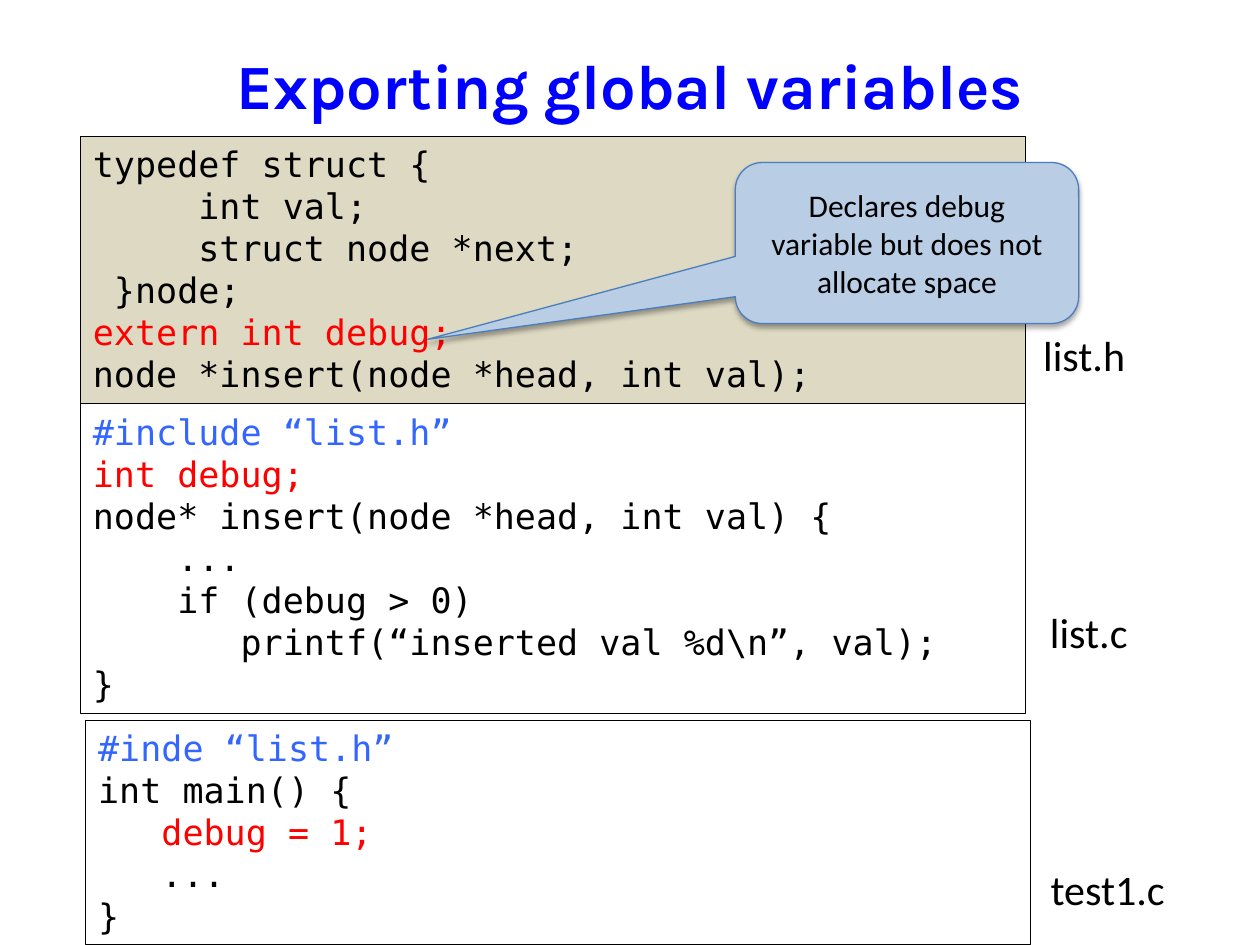
import pptx
import pptx.util
import pptx.dml.color
import pptx.enum.shapes
import pptx.enum.text
import pptx.oxml

Pt = pptx.util.Pt
SHAPE = pptx.enum.shapes.MSO_SHAPE
ALIGN = pptx.enum.text.PP_ALIGN
ANCHOR = pptx.enum.text.MSO_ANCHOR
FIT = pptx.enum.text.MSO_AUTO_SIZE

COLORS = {
    "title": "0000FF", "text": "000000", "new": "FF0000", "include": "3366FF",
    "header": "DDD9C3", "note": "B9CDE5", "edge": "4B7EBC",
}
CODE, BODY, HEAD = "DejaVu Sans Mono", "Calibri", "Karla"

TITLE = "Exporting global variables"
NOTE = "Declares debug variable but does not allocate space"

# Each file: box (left, top, width, height), fill, lines of (text, colour)
FILES = [
    ((46, 77.9, 540, 152.6), "header", [
        ("typedef struct {", "text"),
        ("     int val;", "text"),
        ("     struct node *next;", "text"),
        (" }node;", "text"),
        ("extern int debug;", "new"),
        ("node *insert(node *head, int val);", "text"),
    ]),
    ((46, 230.8, 540, 177), None, [
        ("#include “list.h”", "include"),
        ("int debug;", "new"),
        ("node* insert(node *head, int val) {", "text"),
        ("    ...", "text"),
        ("    if (debug > 0)", "text"),
        ("       printf(“inserted val %d\\n”, val);", "text"),
        ("}", "text"),
    ]),
    ((49, 411.8, 540, 128), None, [
        ("#inde “list.h”", "include"),
        ("int main() {", "text"),
        ("   debug = 1;", "new"),
        ("   ...", "text"),
        ("}", "text"),
    ]),
]
LABELS = [
    ("list.h", (589, 185, 62, 36)),
    ("list.c", (592.9, 342.9, 60, 36)),
    ("test1.c", (593.3, 489.8, 81, 36)),
]
NOTE_BOX = (420.2, 92.9, 196.2, 92)
NOTE_TIP = (-1.396, 0.598, 0.167)

SHADOW = (
    '<a:effectLst xmlns:a="http://schemas.openxmlformats.org/drawingml/2006/main">'
    '<a:outerShdw blurRad="39370" dist="22860" dir="5400000" rotWithShape="0">'
    '<a:srgbClr val="000000"><a:alpha val="35000"/></a:srgbClr>'
    '</a:outerShdw></a:effectLst>'
)


def color(key):
    return pptx.dml.color.RGBColor.from_string(COLORS[key])


def style(para, face, size, key="text", bold=False, align=ALIGN.LEFT):
    para.alignment = align
    font = para.font
    font.name, font.size, font.bold = face, Pt(size), bold
    font.color.rgb = color(key)


def draw(slide, kind, box, fill, line):
    shape = slide.shapes.add_shape(kind, *map(Pt, box))
    shape.shadow.inherit = False
    if fill:
        shape.fill.solid()
        shape.fill.fore_color.rgb = color(fill)
    else:
        shape.fill.background()
    shape.line.color.rgb = color(line)
    shape.line.width = Pt(0.75)
    shape.text_frame.word_wrap = True
    return shape


def main():
    deck = pptx.Presentation()
    deck.slide_width, deck.slide_height = Pt(720), Pt(540)
    slide = deck.slides.add_slide(deck.slide_layouts[5])

    # Title
    title = slide.shapes.title
    title.left, title.top, title.width, title.height = map(Pt, (36, 3, 648, 90))
    title.text_frame.text = TITLE
    title.text_frame.vertical_anchor = ANCHOR.MIDDLE
    style(title.text_frame.paragraphs[0], HEAD, 36, "title", True, ALIGN.CENTER)

    # Code boxes
    for box, fill, lines in FILES:
        frame = draw(slide, SHAPE.RECTANGLE, box, fill, "text").text_frame
        frame.vertical_anchor = ANCHOR.TOP
        frame.auto_size = FIT.SHAPE_TO_FIT_TEXT
        frame.text = "\n".join(text for text, key in lines)
        for para, (text, key) in zip(frame.paragraphs, lines):
            style(para, CODE, 20, key)

    # File names
    for text, box in LABELS:
        frame = slide.shapes.add_textbox(*map(Pt, box)).text_frame
        frame.word_wrap = False
        frame.auto_size = FIT.SHAPE_TO_FIT_TEXT
        frame.text = text
        style(frame.paragraphs[0], BODY, 24)

    # Callout with a soft shadow
    note = draw(slide, SHAPE.ROUNDED_RECTANGULAR_CALLOUT, NOTE_BOX, "note", "edge")
    for i, value in enumerate(NOTE_TIP):
        note.adjustments[i] = value
    props = note.fill._xPr
    props.remove(props.find(pptx.oxml.ns.qn("a:effectLst")))
    props.append(pptx.oxml.parse_xml(SHADOW))
    note.text_frame.vertical_anchor = ANCHOR.MIDDLE
    note.text_frame.text = NOTE
    style(note.text_frame.paragraphs[0], BODY, 18, align=ALIGN.CENTER)

    deck.save("out.pptx")


if __name__ == "__main__":
    main()
